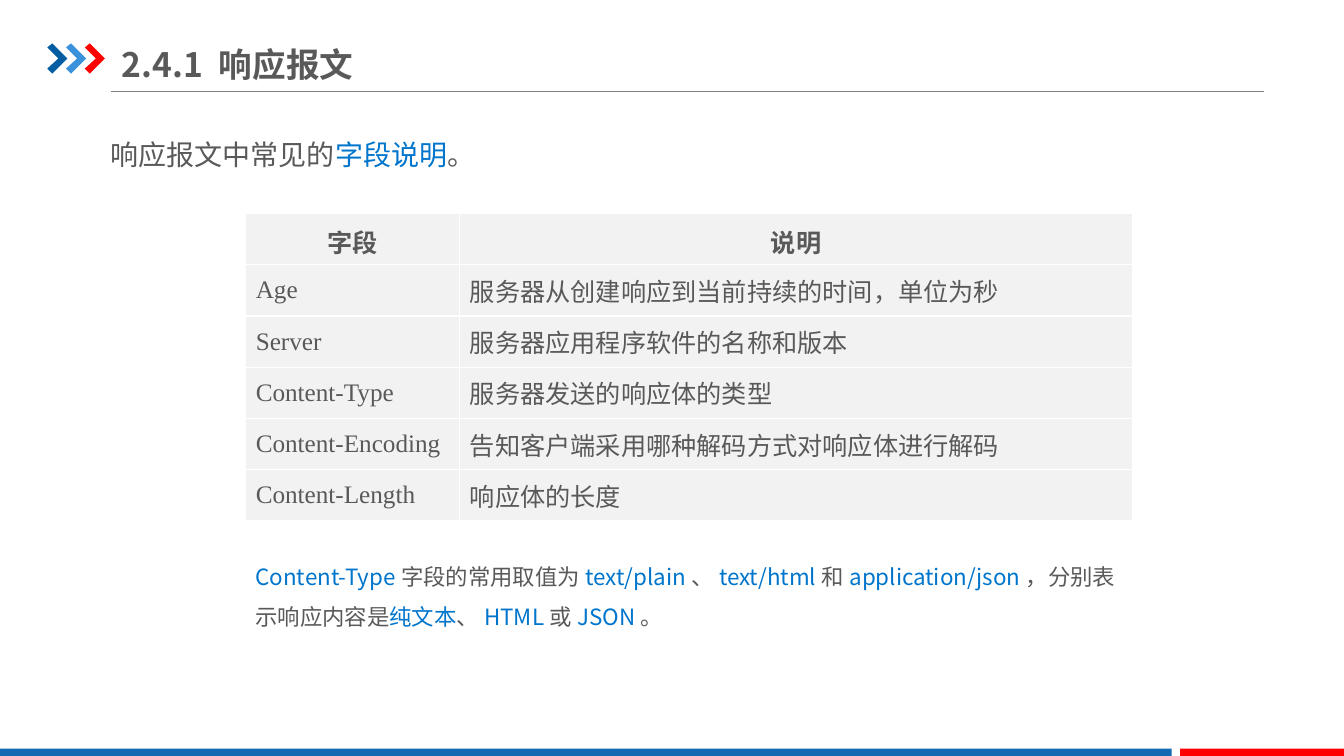
from lxml.etree import SubElement
from pptx import Presentation
from pptx.dml.color import RGBColor
from pptx.enum.shapes import MSO_CONNECTOR, MSO_SHAPE
from pptx.enum.text import MSO_ANCHOR, MSO_AUTO_SIZE, PP_ALIGN
from pptx.oxml.ns import qn
from pptx.util import Pt

COLOURS = {
    "text": "595959", "accent": "0075CC", "rule": "808080", "cell": "F2F2F2",
    "border": "FFFFFF", "navy": "005DA2", "sky": "3992DB", "red": "FF0000",
    "footer": "1369B2",
}
SANS = "Noto Sans CJK SC"
SERIF = "Times New Roman"
CHEVRON = [(0, 2.9), (3.6, 0), (14.4, 10.8), (3.6, 21.6), (0, 18), (7.9, 10.8)]
FIELDS = [
    ("Age", "服务器从创建响应到当前持续的时间，单位为秒"),
    ("Server", "服务器应用程序软件的名称和版本"),
    ("Content-Type", "服务器发送的响应体的类型"),
    ("Content-Encoding", "告知客户端采用哪种解码方式对响应体进行解码"),
    ("Content-Length", "响应体的长度"),
]
INTRO = [("响应报文中常见的", "text"), ("字段说明", "accent"), ("。", "text")]
NOTE = [
    ("Content-Type", "accent"), ("字段的常用取值为", "text"),
    ("text/plain", "accent"), ("、", "text"),
    ("text/html", "accent"), ("和", "text"),
    ("application/json", "accent"), ("，分别表示响应内容是", "text"),
    ("纯文本", "accent"), ("、", "text"),
    ("HTML", "accent"), ("或", "text"),
    ("JSON", "accent"), ("。", "text"),
]


def colour(name):
    """Return the named palette colour."""
    return RGBColor.from_string(COLOURS[name])


def paint(shape, name):
    """Give a shape a flat fill with no outline or shadow."""
    shape.shadow.inherit = False
    shape.fill.solid()
    shape.fill.fore_color.rgb = colour(name)
    shape.line.fill.background()


def write(frame, text, size=18, font=SANS, bold=False, align=PP_ALIGN.LEFT, spacing=1.0):
    """Write a string, or (string, colour) spans, as one paragraph."""
    para = frame.paragraphs[0]
    para.alignment = align
    para.line_spacing = spacing
    for words, name in [(text, "text")] if isinstance(text, str) else text:
        span = para.add_run()
        span.text = words
        span.font.size = Pt(size)
        span.font.bold = bold
        span.font.name = font
        span.font.color.rgb = colour(name)
        SubElement(span.font._element, qn("a:ea"), typeface=font)


def add_text(page, box, text, wrap=True, **style):
    """Add a text box that grows with its text."""
    left, top, width, height = map(Pt, box)
    frame = page.shapes.add_textbox(left, top, width, height).text_frame
    frame.word_wrap = wrap
    frame.auto_size = MSO_AUTO_SIZE.SHAPE_TO_FIT_TEXT
    write(frame, text, **style)


def add_heading(page, box, text):
    """Place the chevrons, the title and the rule below it."""
    left, top, width, height = box
    for index, name in enumerate(("navy", "sky", "red")):
        points = [(Pt(left + 13.4 * index + x), Pt(top + 5 + y)) for x, y in CHEVRON]
        builder = page.shapes.build_freeform(*points[0])
        builder.add_line_segments(points[1:], close=True)
        paint(builder.convert_to_shape(), name)

    title = page.shapes.title
    title.left, title.top, title.width, title.height = map(Pt, (left + 53.3, top, 342.7, height))
    frame = title.text_frame
    frame.word_wrap = True
    frame.auto_size = MSO_AUTO_SIZE.NONE
    frame.vertical_anchor = MSO_ANCHOR.MIDDLE
    frame.margin_left = frame.margin_right = 0
    frame.margin_top = frame.margin_bottom = Pt(5)
    write(frame, text, size=24, bold=True)

    bottom = Pt(top + height)
    rule = page.shapes.add_connector(
        MSO_CONNECTOR.STRAIGHT, Pt(left + 45.4), bottom, Pt(left + width), bottom)
    rule.line.color.rgb = colour("rule")
    rule.line.width = Pt(0.75)
    SubElement(rule._element.spPr, qn("a:effectLst"))


def add_footer(page, box):
    """Draw the two-colour band along the bottom edge."""
    left, top, width, height = box
    for start, end, name in ((0, 837, "footer"), (843, width, "red")):
        band = page.shapes.add_shape(
            MSO_SHAPE.RECTANGLE, Pt(left + start), Pt(top), Pt(end - start), Pt(height))
        paint(band, name)


def format_cell(cell):
    """Give a cell its borders, fill and anchor."""
    properties = cell._tc.get_or_add_tcPr()
    for side in ("lnL", "lnR", "lnT", "lnB"):
        line = SubElement(properties, qn(f"a:{side}"), w=str(Pt(1)))
        fill = SubElement(line, qn("a:solidFill"))
        SubElement(fill, qn("a:srgbClr"), val=COLOURS["border"])
    cell.fill.solid()
    cell.fill.fore_color.rgb = colour("cell")
    cell.vertical_anchor = MSO_ANCHOR.MIDDLE


def add_field_table(page, box):
    """Build the table of response fields."""
    left, top, width, height = map(Pt, box)
    rows = [("字段", "说明"), *FIELDS]
    table = page.shapes.add_table(len(rows), 2, left, top, width, height).table
    table.horz_banding = False
    table.columns[0].width = Pt(153)
    table.columns[1].width = width - Pt(153)
    for row, values in enumerate(rows):
        for column, value in enumerate(values):
            cell = table.cell(row, column)
            format_cell(cell)
            if row == 0:
                cell.margin_left = cell.margin_right = Pt(5)
                cell.margin_top = cell.margin_bottom = 0
                write(cell.text_frame, value, bold=True, align=PP_ALIGN.CENTER, spacing=1.15)
            else:
                write(cell.text_frame, value, font=SANS if column else SERIF)


def build_field_page(deck):
    """Lay out the slide of response message fields."""
    page = deck.slides.add_slide(deck.slide_layouts[5])
    add_heading(page, (33.8, 26, 869, 39.5), "2.4.1 响应报文")
    add_footer(page, (0, 534.7, 960, 6.3))
    add_text(page, (72, 82.8, 277, 44), INTRO, wrap=False, size=20, spacing=1.5)
    add_text(page, (175.5, 389, 633.5, 62), NOTE, size=16, spacing=1.5)
    add_field_table(page, (175.5, 152.5, 633.5, 219.6))


def main():
    """Create and save the deck."""
    deck = Presentation()
    deck.slide_width, deck.slide_height = Pt(960), Pt(540)
    build_field_page(deck)
    deck.save("out.pptx")


if __name__ == "__main__":
    main()
